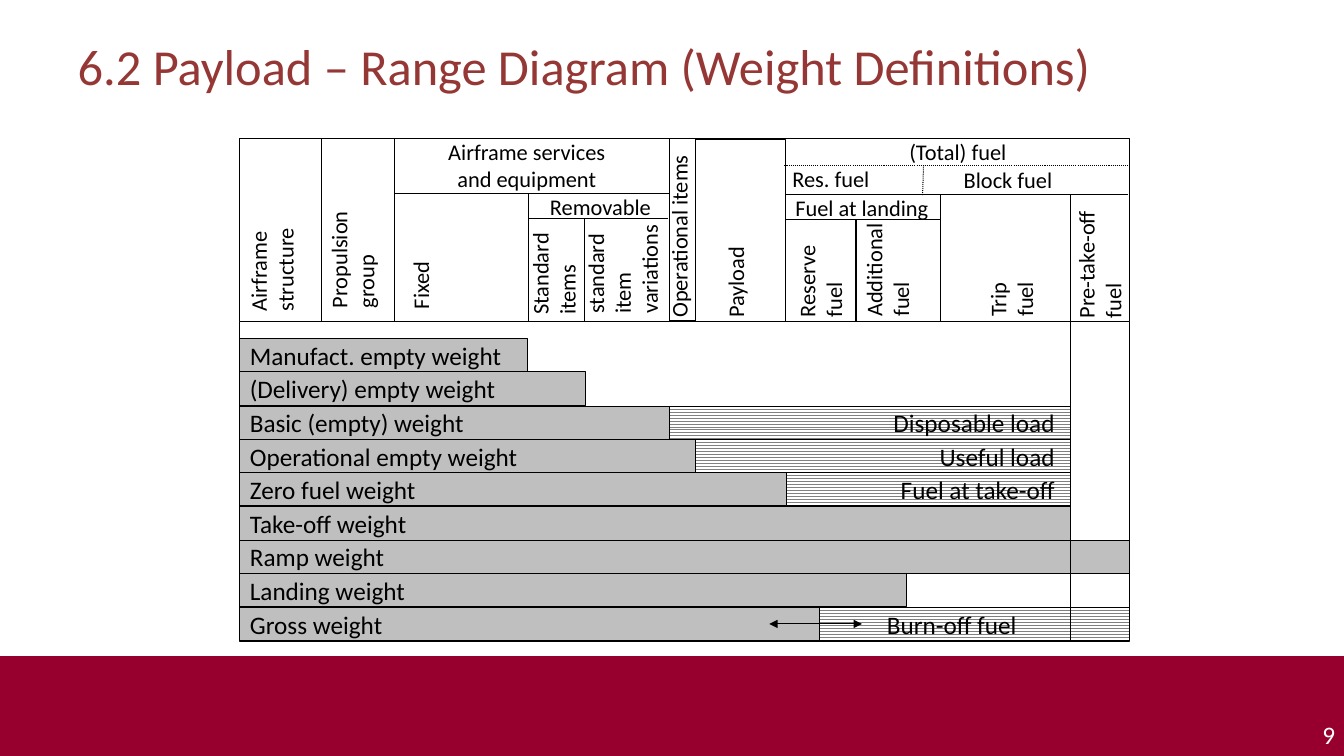
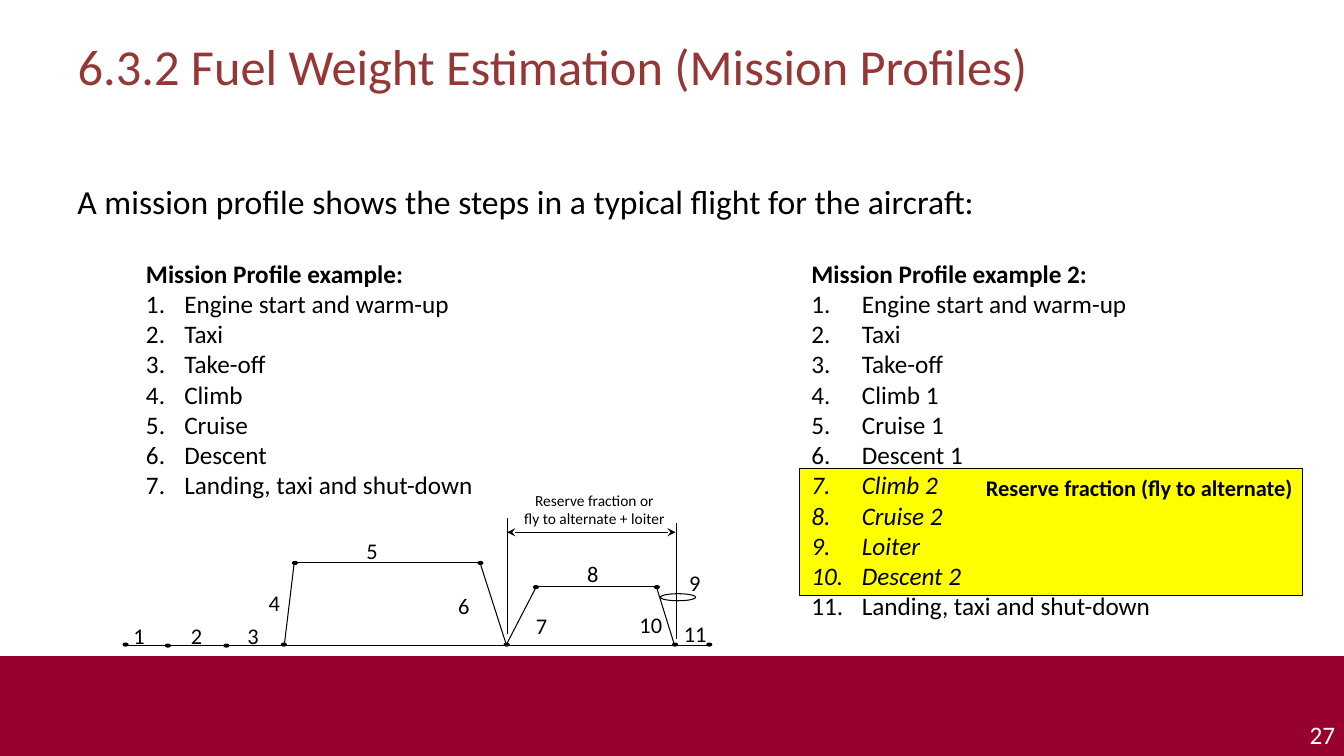
"""Build two aircraft design slides: weight definitions and mission profiles."""
from dataclasses import dataclass
from typing import Optional

from lxml import etree
from pptx import Presentation
from pptx.dml.color import RGBColor
from pptx.enum import dml, shapes, text
from pptx.oxml.ns import qn
from pptx.util import Emu, Pt

PX = 9144
FONT = "Calibri"
COLORS = {
    "band": "97002E", "title": "953735", "ink": "000000", "paper": "FFFFFF",
    "bar": "BFBFBF", "hatch": "808080", "mark": "FFFF00",
}
LEFT, CENTER, RIGHT = text.PP_ALIGN.LEFT, text.PP_ALIGN.CENTER, text.PP_ALIGN.RIGHT
RECT, OVAL = shapes.MSO_SHAPE.RECTANGLE, shapes.MSO_SHAPE.OVAL

CHART_LEFT, CHART_RIGHT, TRIP_END = 238, 1120, 1062
HEAD_TOP, HEAD_BOTTOM, CHART_BOTTOM = 137, 319, 636
BARS_TOP, BAR_HEIGHT = 336, 33


@dataclass
class Box:
    """A rectangle in px."""
    x: int
    y: int
    w: int
    h: int


@dataclass
class Label:
    """A text box with one entry per paragraph."""
    lines: list[str]
    box: Box
    size: int = 16
    align: text.PP_ALIGN = LEFT
    color: str = "ink"
    wrap: bool = False
    turned: bool = False


@dataclass
class Line:
    """A straight line, optionally dotted or with arrowheads at both ends."""
    x1: int
    y1: int
    x2: int
    y2: int
    dotted: bool = False
    arrow: Optional[str] = None


@dataclass
class Bar:
    """A weight bar with an optional hatched load after it."""
    name: str
    end: int
    load: str = ""
    load_end: int = TRIP_END
    align: text.PP_ALIGN = RIGHT
    inset: int = 16


@dataclass
class Step:
    """A numbered mission step."""
    name: str
    italic: bool = False


def rgb(name: str) -> RGBColor:
    """Look up a colour."""
    return RGBColor.from_string(COLORS[name])


def style(p, size: int, color: str = "ink", align=LEFT, bold: bool = False, italic: bool = False):
    """Format a paragraph."""
    p.alignment = align
    p.font.name, p.font.size = FONT, Pt(size)
    p.font.bold, p.font.italic = bold, italic
    p.font.color.rgb = rgb(color)


def add_box(s, box: Box, fill: Optional[str] = None, kind=RECT, outlined: bool = True):
    """Draw a preset shape."""
    sp = s.shapes.add_shape(kind, *(Emu(v * PX) for v in (box.x, box.y, box.w, box.h)))
    sp.shadow.inherit = False
    if fill:
        sp.fill.solid()
        sp.fill.fore_color.rgb = rgb(fill)
    else:
        sp.fill.background()
    if outlined:
        sp.line.color.rgb = rgb("ink")
        sp.line.width = Pt(0.75)
    else:
        sp.line.fill.background()
    return sp


def add_box_text(sp, words: str, size: int, align=LEFT, inset: int = 10, bold: bool = False,
                 anchor=text.MSO_ANCHOR.MIDDLE) -> None:
    """Write one paragraph inside a shape."""
    tf = sp.text_frame
    tf.word_wrap, tf.vertical_anchor = True, anchor
    tf.margin_right = Emu(inset * PX)
    tf.text = words
    style(tf.paragraphs[0], size, align=align, bold=bold)


def add_label(s, label: Label):
    """Draw a text box."""
    b = label.box
    sp = s.shapes.add_textbox(*(Emu(v * PX) for v in (b.x, b.y, b.w, b.h)))
    sp.rotation = 270 if label.turned else 0
    tf = sp.text_frame
    tf.word_wrap = label.wrap
    tf.auto_size = text.MSO_AUTO_SIZE.SHAPE_TO_FIT_TEXT
    for i, words in enumerate(label.lines):
        p = tf.add_paragraph() if i else tf.paragraphs[0]
        p.text = words
        style(p, label.size, label.color, label.align)
    return sp


def add_line(s, line: Line) -> None:
    """Draw a straight connector."""
    ends = (Emu(v * PX) for v in (line.x1, line.y1, line.x2, line.y2))
    cx = s.shapes.add_connector(shapes.MSO_CONNECTOR.STRAIGHT, *ends)
    cx.line.color.rgb = rgb("ink")
    cx.line.width = Pt(0.75)
    if line.dotted:
        cx.line.dash_style = dml.MSO_LINE.ROUND_DOT
    sp_pr = cx._element.spPr
    if line.arrow:
        for end in ("a:headEnd", "a:tailEnd"):
            etree.SubElement(sp_pr.find(qn("a:ln")), qn(end)).set("type", line.arrow)
    etree.SubElement(sp_pr, qn("a:effectLst"))


def add_bar(s, row: int, bar: Bar) -> None:
    """Draw one row of the weight chart."""
    y = BARS_TOP + (100 * row + 1) // 3
    sp = add_box(s, Box(CHART_LEFT, y, bar.end - CHART_LEFT, BAR_HEIGHT), "bar")
    add_box_text(sp, bar.name, 18)
    if bar.load:
        sp = add_box(s, Box(bar.end, y, bar.load_end - bar.end, BAR_HEIGHT))
        sp.fill.patterned()
        sp.fill.pattern = dml.MSO_PATTERN.ZIG_ZAG
        sp.fill.fore_color.rgb, sp.fill.back_color.rgb = rgb("hatch"), rgb("paper")
        add_box_text(sp, bar.load, 18, bar.align, bar.inset)


def add_steps(s, heading: str, steps: list[Step], box: Box, indent: int) -> None:
    """Draw a bold heading with a numbered list."""
    sp = add_label(s, Label([heading], box, 18, wrap=True))
    tf = sp.text_frame
    tf.paragraphs[0].font.bold = True
    for step in steps:
        p = tf.add_paragraph()
        p.text = step.name
        pr = p._p.get_or_add_pPr()
        pr.set("marL", str(indent * PX))
        pr.set("indent", str(-indent * PX))
        etree.SubElement(pr, qn("a:buFont")).set("typeface", "+mj-lt")
        etree.SubElement(pr, qn("a:buAutoNum")).set("type", "arabicPeriod")
        style(p, 18, italic=step.italic)


def add_slide(prs, title: str, number: int):
    """Add a slide with its title and page number."""
    s = prs.slides.add_slide(prs.slide_layouts[5])
    sp = s.shapes.title
    sp.left, sp.top, sp.width, sp.height = (Emu(v * PX) for v in (67, 30, 1200, 125))
    tf = sp.text_frame
    tf.text, tf.vertical_anchor = title, text.MSO_ANCHOR.TOP
    style(tf.paragraphs[0], 36, "title")
    add_label(s, Label([str(number)], Box(1263, 709, 71, 40), 18, RIGHT, "paper", wrap=True))
    return s


def add_band(prs, s) -> None:
    """Place the footer band on the slide master."""
    sp = add_box(s, Box(0, 651, 1333, 99), "band", outlined=False)
    prs.slide_master.shapes._spTree.insert(2, sp._element)


BARS = [
    Bar("Manufact. empty weight", 523),
    Bar("(Delivery) empty weight", 581),
    Bar("Basic (empty) weight", 664, "Disposable load"),
    Bar("Operational empty weight", 690, "Useful load"),
    Bar("Zero fuel weight", 780, "Fuel at take-off"),
    Bar("Take-off weight", TRIP_END),
    Bar("Ramp weight", CHART_RIGHT),
    Bar("Landing weight", 899),
    Bar("Gross weight", 813, "Burn-off fuel", CHART_RIGHT, CENTER, 55),
]
HEAD_BOXES = [
    Box(CHART_LEFT, HEAD_TOP, CHART_RIGHT - CHART_LEFT, HEAD_BOTTOM - HEAD_TOP),
    Box(391, 192, 273, 127), Box(391, HEAD_TOP, 273, 55),
    Box(664, HEAD_TOP, 26, 181), Box(690, 138, 89, 181),
]
HEAD_LINES = [
    Line(319, 138, 319, 318), Line(524, 318, 524, 192), Line(524, 217, 663, 217),
    Line(580, 318, 580, 217), Line(778, 164, CHART_RIGHT, 164, dotted=True),
    Line(780, 193, 1119, 193), Line(916, 164, 915, 194, dotted=True),
    Line(933, HEAD_BOTTOM, 933, 193), Line(933, 218, 779, 218),
    Line(849, 218, 849, HEAD_BOTTOM), Line(TRIP_END, HEAD_BOTTOM, TRIP_END, 193),
]
HEAD_LABELS = [
    Label(["Airframe", "structure"], Box(216, 233, 107, 64), turned=True),
    Label(["Airframe services", "and equipment"], Box(389, 132, 267, 64), align=CENTER, wrap=True),
    Label(["Propulsion", "group"], Box(291, 225, 117, 64), turned=True),
    Label(["Removable"], Box(529, 187, 133, 37), align=CENTER, wrap=True),
    Label(["Fixed"], Box(383, 264, 68, 37), turned=True),
    Label(["Standard", "items"], Box(498, 239, 102, 64), turned=True),
    Label(["standard", "item", "variations"], Box(563, 221, 109, 91), turned=True),
    Label(["Operational items"], Box(567, 200, 213, 37), wrap=True, turned=True),
    Label(["Payload"], Box(635, 212, 189, 37), wrap=True, turned=True),
    Label(["(Total) fuel"], Box(781, 132, 338, 37), align=CENTER, wrap=True),
    Label(["Res. fuel"], Box(776, 159, 98, 37)),
    Label(["Block fuel"], Box(946, 160, 109, 37)),
    Label(["Fuel at landing"], Box(779, 188, 153, 37)),
    Label(["Reserve", "fuel"], Box(763, 242, 101, 64), wrap=True, turned=True),
    Label(["Additional", "fuel"], Box(820, 232, 120, 64), wrap=True, turned=True),
    Label(["Trip", "fuel"], Box(943, 232, 120, 64), wrap=True, turned=True),
    Label(["Pre-take-off", "fuel"], Box(996, 199, 189, 64), wrap=True, turned=True),
]

START, END = "Engine start and warm-up", "Landing, taxi and shut-down"
STEPS_1 = [Step(n) for n in (START, "Taxi", "Take-off", "Climb", "Cruise", "Descent", END)]
STEPS_2 = [
    *(Step(n) for n in (START, "Taxi", "Take-off", "Climb 1", "Cruise 1", "Descent 1")),
    *(Step(n, italic=True) for n in ("Climb 2", "Cruise 2", "Loiter", "Descent 2")),
    Step(END),
]
PROFILE_LINES = [
    Line(124, 640, 705, 640), Line(282, 640, 292, 557), Line(293, 558, 476, 558),
    Line(476, 558, 502, 639), Line(502, 640, 532, 582), Line(531, 582, 654, 582),
    Line(651, 582, 669, 640), Line(503, 629, 503, 514), Line(671, 634, 671, 519),
    Line(503, 528, 670, 528, arrow="stealth"),
]
PROFILE_DOTS = [
    (122, 638), (164, 639), (222, 639), (279, 638), (290, 557), (474, 557),
    (500, 638), (529, 581), (649, 581), (667, 638), (701, 638),
]
PHASE_SPOTS = [
    (122, 612), (179, 612), (235, 612), (256, 580), (353, 528), (444, 583),
    (521, 602), (572, 551), (673, 560), (624, 601), (668, 610),
]


def build_weights(prs) -> None:
    """Build the weight definitions slide."""
    s = add_slide(prs, "6.2 Payload – Range Diagram (Weight Definitions)", 9)
    add_band(prs, s)
    for row, bar in enumerate(BARS):
        add_bar(s, row, bar)
    add_line(s, Line(763, 619, 855, 619, arrow="triangle"))
    for x in (TRIP_END, CHART_LEFT, CHART_RIGHT):
        add_line(s, Line(x, HEAD_BOTTOM, x, CHART_BOTTOM))
    for box in HEAD_BOXES:
        add_box(s, box)
    for line in HEAD_LINES:
        add_line(s, line)
    for label in HEAD_LABELS:
        add_label(s, label)


def build_missions(prs) -> None:
    """Build the mission profiles slide."""
    s = add_slide(prs, "6.3.2 Fuel Weight Estimation (Mission Profiles)", 27)
    sp = add_box(s, Box(793, 465, 499, 126), "mark")
    add_box_text(sp, "Reserve fraction (fly to alternate)", 16, RIGHT, bold=True,
                 anchor=text.MSO_ANCHOR.TOP)
    intro = "A mission profile shows the steps in a typical flight for the aircraft:"
    add_label(s, Label([intro], Box(67, 175, 1200, 50), 24, wrap=True))
    add_steps(s, "Mission Profile example 2:", STEPS_2, Box(795, 251, 446, 384), 50)
    add_steps(s, "Mission Profile example:", STEPS_1, Box(135, 251, 404, 252), 38)
    for line in PROFILE_LINES:
        add_line(s, line)
    for x, y in PROFILE_DOTS:
        add_box(s, Box(x, y, 5, 3), "ink", OVAL)
    add_box(s, Box(655, 589, 35, 7), kind=OVAL)
    for n, (x, y) in enumerate(PHASE_SPOTS, 1):
        add_label(s, Label([str(n)], Box(x, y, 32 if n < 10 else 43, 37), align=CENTER))
    reserve = ["Reserve fraction or", "fly to alternate + loiter"]
    add_label(s, Label(reserve, Box(509, 482, 161, 47), 11, CENTER))


def main() -> None:
    """Build and save the presentation."""
    prs = Presentation()
    prs.slide_width, prs.slide_height = Emu(1333 * PX), Emu(750 * PX)
    build_weights(prs)
    build_missions(prs)
    prs.save("out.pptx")


if __name__ == "__main__":
    main()
